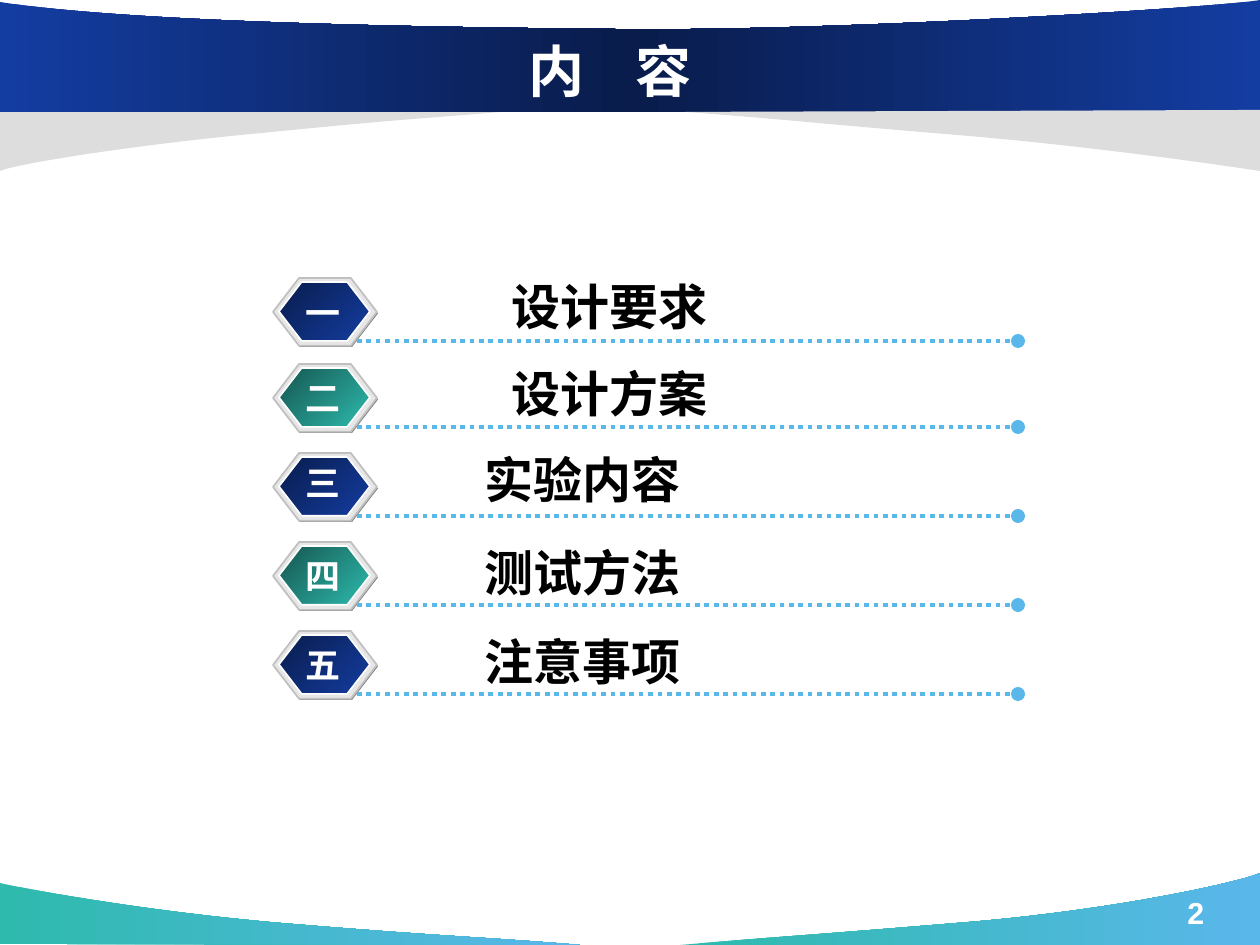
import pptx
import pptx.util
import pptx.dml.color
import pptx.enum.dml
import pptx.enum.shapes
import pptx.enum.text
import pptx.oxml
import pptx.oxml.ns
import copy

RGB = pptx.dml.color.RGBColor
ALIGN = pptx.enum.text.PP_ALIGN
ANCHOR = pptx.enum.text.MSO_ANCHOR
KIND = pptx.enum.shapes.MSO_SHAPE
Pt = pptx.util.Pt

WHITE = RGB(0xFF, 0xFF, 0xFF)
BLACK = RGB(0x00, 0x00, 0x00)
NAVY = RGB(0x09, 0x1C, 0x4B)
BLUE = RGB(0x14, 0x3D, 0xA2)
PINE = RGB(0x15, 0x56, 0x50)
TEAL = RGB(0x2E, 0xBA, 0xAD)
SKY = RGB(0x5A, 0xB7, 0xEA)
PALE = RGB(0xDD, 0xDD, 0xDD)
RIM = RGB(0xE6, 0xE6, 0xE6)
EDGE = RGB(0xC0, 0xC0, 0xC0)
SHADE = RGB(0x80, 0x80, 0x80)
CJK = "Noto Sans CJK SC"
SPACE = pptx.oxml.ns.nsdecls("a")
PX = 914400 / 168


def paint(shape, colors, line=None, angle=0):
    """Fill with one colour or an even gradient; outline only if a line colour is given."""
    shape.shadow.inherit = False
    if len(colors) == 1:
        shape.fill.solid()
        shape.fill.fore_color.rgb = colors[0]
    else:
        shape.fill.gradient()
        shape.fill.gradient_angle = angle
        first = shape._element.xpath(".//a:gs")[0]
        for _ in colors[2:]:
            first.addnext(copy.deepcopy(first))
        for i, stop in enumerate(shape.fill.gradient_stops):
            stop.color.rgb = colors[i]
            stop.position = i / (len(colors) - 1)
    if line is None:
        shape.line.fill.background()
    else:
        shape.line.color.rgb = line
        shape.line.width = Pt(0.75)


def write(text, box, size, color, font=CJK, align=ALIGN.LEFT, anchor=ANCHOR.TOP):
    frame = slide.shapes.add_textbox(*[round(v * PX) for v in box]).text_frame
    frame.word_wrap = True
    frame.vertical_anchor = anchor
    frame.text = text
    para = frame.paragraphs[0]
    para.alignment = align
    run = para.runs[0]
    run.font.size = Pt(size)
    run.font.bold = True
    run.font.color.rgb = color
    run.font.name = font
    east = pptx.oxml.parse_xml("<a:ea %s/>" % SPACE)
    east.set("typeface", CJK)
    run.font._element.find(pptx.oxml.ns.qn("a:latin")).addnext(east)
    return run


deck = pptx.Presentation()
deck.slide_width = round(1260 * PX)
deck.slide_height = round(945 * PX)
slide = deck.slides.add_slide(deck.slide_layouts[6])

# Curved bands: two cubic curves (seven points), then the straight corners
bands = [
    ([(580, 945), (484, 937), (450, 937), (292, 924), (133, 911), (2, 884), (0, 883)],
     [(0, 944)], [TEAL, SKY]),
    ([(680, 945), (773, 937), (813, 935), (969, 922), (1124, 909), (1247, 880), (1260, 873)],
     [(1260, 945)], [TEAL, SKY]),
    ([(501, 112), (417, 119), (402, 119), (262, 133), (123, 146), (12, 165), (0, 171)],
     [(0, 109)], [PALE]),
    ([(1260, 0), (1215, 8), (823, 32), (613, 29), (405, 27), (128, 22), (0, 2)],
     [(0, 112), (1260, 112)], [BLUE, NAVY, BLUE]),
    ([(685, 112), (781, 119), (810, 123), (968, 136), (1127, 150), (1258, 171), (1260, 171)],
     [(1260, 110)], [PALE]),
]
for curve, corners, colors in bands:
    pen = slide.shapes.build_freeform(*curve[0], scale=PX)
    pen.add_line_segments(curve[1:] + corners, close=True)
    band = pen.convert_to_shape()
    legs = band._element.xpath(".//a:lnTo")
    for k in (0, 3):
        bend = pptx.oxml.parse_xml("<a:cubicBezTo %s/>" % SPACE)
        legs[k].addprevious(bend)
        for leg in legs[k:k + 3]:
            bend.append(leg[0])
            leg.getparent().remove(leg)
    paint(band, colors)

title = write("内　容", (116, 32, 988, 77), 24, WHITE, align=ALIGN.CENTER, anchor=ANCHOR.MIDDLE)
title.font._element.set("spc", "-120")

# Agenda rows: number, its top, label, label left and top, badge top
rows = [
    ("一", 283, "设计要求", 495, 268, 278),
    ("二", 368, "设计方案", 495, 355, 364),
    ("三", 453, "实验内容", 468, 441, 453),
    ("四", 546, "测试方法", 468, 534, 542),
    ("五", 635, "注意事项", 468, 623, 631),
]
for i, (mark, high, label, left, head, top) in enumerate(rows):
    tint = [PINE, TEAL] if i % 2 else [NAVY, BLUE]
    for box, colors, line in [
        ((274, top + 2, 104, 67), [SHADE], None),
        ((273, top, 104, 68), [RIM], EDGE),
        ((279, top + 4, 91, 59), tint, WHITE),
    ]:
        badge = slide.shapes.add_shape(KIND.HEXAGON, *[round(v * PX) for v in box])
        badge.adjustments[0] = 0.385
        paint(badge, colors, line, angle=315)

    ends = [round(v * PX) for v in (357, top + 63, 1018, top + 63)]
    rule = slide.shapes.add_connector(pptx.enum.shapes.MSO_CONNECTOR.STRAIGHT, *ends)
    rule.line.color.rgb = SKY
    rule.line.width = Pt(2)
    rule.line.dash_style = pptx.enum.dml.MSO_LINE.ROUND_DOT
    rule.line._get_or_add_ln().append(
        pptx.oxml.parse_xml('<a:tailEnd %s type="oval"/>' % SPACE))
    rule._element.spPr.append(pptx.oxml.parse_xml("<a:effectLst %s/>" % SPACE))

    write(label, (left, head, 583, 76), 21, BLACK)
    write(mark, (289, high, 69, 59), 15, WHITE, "Arial", ALIGN.CENTER)

write("2", (1171, 886, 89, 59), 13, WHITE, "Arial")

deck.save("out.pptx")
